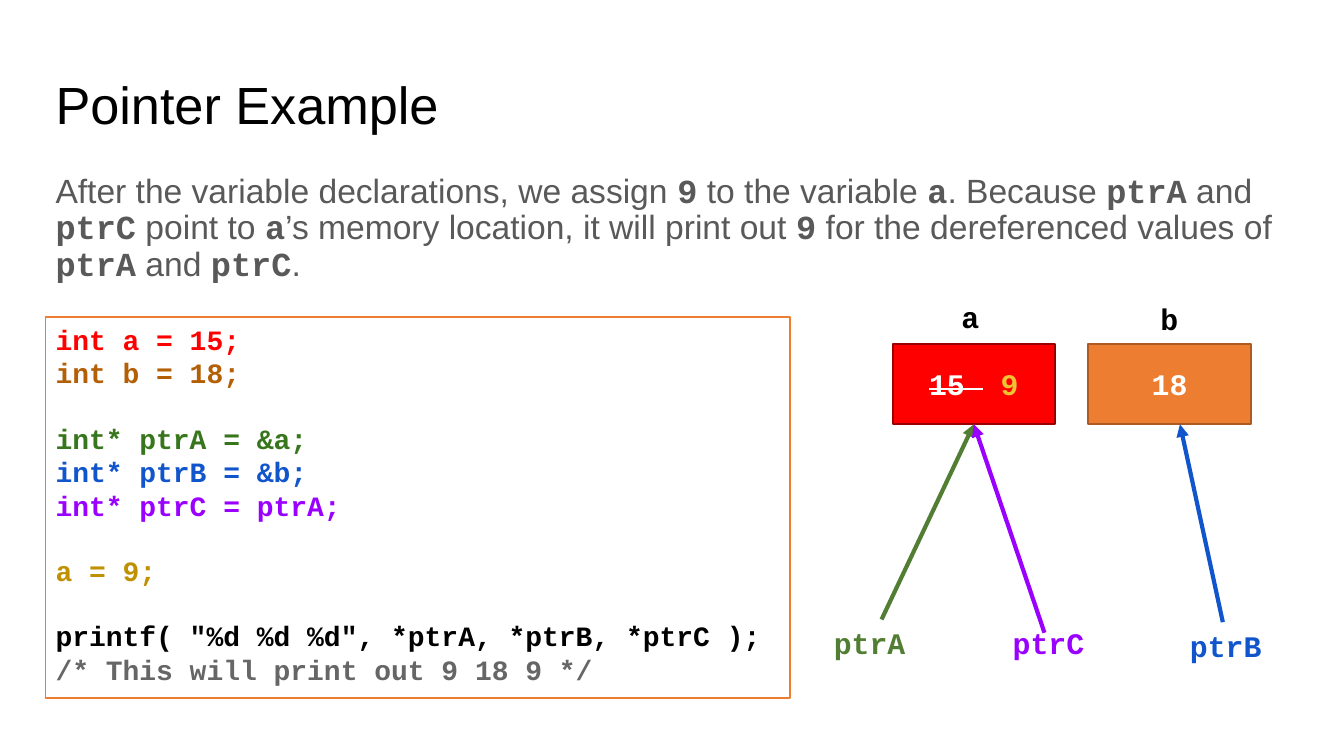
"""Build the slide that explains a pointer example in C."""

from dataclasses import dataclass
from typing import Optional

from lxml.etree import SubElement
from pptx import Presentation
from pptx.dml.color import RGBColor
from pptx.enum.shapes import MSO_CONNECTOR, MSO_SHAPE
from pptx.enum.text import MSO_ANCHOR, PP_ALIGN
from pptx.oxml.ns import qn
from pptx.shapes.autoshape import Shape
from pptx.slide import Slide
from pptx.text.text import TextFrame, _Paragraph
from pptx.util import Cm, Pt

COLORS = {
    "black": "000000", "white": "FFFFFF", "body": "595959", "comment": "666666",
    "red": "FF0000", "dark red": "980000", "orange": "ED7D31", "dark orange": "AC5B23",
    "brown": "B45F06", "code green": "38761D", "green": "517E33", "blue": "1155CC",
    "purple": "9900FF", "gold": "BF9000", "yellow": "F1C232",
}
SANS, MONO = "Arial", "Courier New"
CELL_TOP, CELL_WIDTH, CELL_HEIGHT = 6.5, 3.07, 1.52
CODE_SIZE, CODE_LINE = 15, 17
BOTTOM_SIDE = 2


@dataclass
class Span:
    """A piece of text in one style."""
    text: str
    color: str
    size: float = 16
    font: str = MONO
    bold: bool = True
    struck: bool = False


@dataclass
class Variable:
    """A memory cell with its name and contents."""
    name: str
    left: float
    name_left: float
    name_top: float
    fill: str
    border: str
    contents: list[Span]


@dataclass
class Pointer:
    """A pointer name with an arrow to a variable."""
    name: str
    color: str
    left: float
    top: float
    start: tuple[float, float]
    target: str
    tip: Optional[tuple[float, float]] = None


@dataclass
class CodeLine:
    """A line of code, with a gap above it if it opens a group."""
    text: str
    color: str
    opens_group: bool = False


EXPLANATION = [
    "After the variable declarations, we assign ", "9", " to the variable ", "a",
    ". Because ", "ptrA", " and ", "ptrC", " point to ", "a",
    "’s memory location, it will print out ", "9",
    " for the dereferenced values of ", "ptrA", " and ", "ptrC", ".",
]
CODE = [
    CodeLine("int a = 15;", "red"),
    CodeLine("int b = 18;", "brown"),
    CodeLine("int* ptrA = &a;", "code green", True),
    CodeLine("int* ptrB = &b;", "blue"),
    CodeLine("int* ptrC = ptrA;", "purple"),
    CodeLine("a = 9;", "gold", True),
    CodeLine('printf( "%d %d %d", *ptrA, *ptrB, *ptrC );', "black", True),
    CodeLine("/* This will print out 9 18 9 */", "comment"),
]
VARIABLES = [
    Variable("a", 16.87, 17.98, 5.54, "red", "dark red",
             [Span("15 ", "white", struck=True), Span(" ", "white"), Span("9", "yellow")]),
    Variable("b", 20.57, 21.74, 5.59, "orange", "dark orange", [Span("18", "white")]),
]
POINTERS = [
    Pointer("ptrA", "green", 15.57, 11.71, (16.66, 11.71), "a"),
    Pointer("ptrB", "blue", 22.3, 11.76, (23.11, 11.76), "b", (22.3, 8.02)),
    Pointer("ptrC", "purple", 18.95, 11.71, (19.74, 11.96), "a"),
]


def rgb(color: str) -> RGBColor:
    """Look up a named colour."""
    return RGBColor.from_string(COLORS[color])


def add_spans(paragraph: _Paragraph, spans: list[Span]) -> None:
    """Add styled runs to a paragraph."""
    for span in spans:
        run = paragraph.add_run()
        run.text = span.text
        run.font.name, run.font.size, run.font.bold = span.font, Pt(span.size), span.bold
        run.font.color.rgb = rgb(span.color)
        if span.struck:
            run._r.get_or_add_rPr().set("strike", "sngStrike")


def set_frame(frame: TextFrame, anchor: MSO_ANCHOR) -> None:
    """Set wrapping, insets and anchor of a text frame."""
    frame.word_wrap = True
    frame.vertical_anchor = anchor
    frame.margin_left = frame.margin_right = Cm(0.19)
    frame.margin_top = frame.margin_bottom = Cm(0.1)


def add_text(slide: Slide, left: float, top: float, width: float, height: float,
             spans: list[Span], anchor: MSO_ANCHOR = MSO_ANCHOR.TOP,
             line_spacing: float = 1.0) -> None:
    """Add a text box with one paragraph."""
    frame = slide.shapes.add_textbox(Cm(left), Cm(top), Cm(width), Cm(height)).text_frame
    set_frame(frame, anchor)
    frame.paragraphs[0].line_spacing = line_spacing
    add_spans(frame.paragraphs[0], spans)


def add_box(slide: Slide, left: float, top: float, width: float, height: float,
            fill: str, border: str, anchor: MSO_ANCHOR) -> Shape:
    """Add a bordered rectangle."""
    box = slide.shapes.add_shape(
        MSO_SHAPE.RECTANGLE, Cm(left), Cm(top), Cm(width), Cm(height))
    box.shadow.inherit = False
    box.fill.solid()
    box.fill.fore_color.rgb = rgb(fill)
    box.line.color.rgb = rgb(border)
    box.line.width = Pt(1)
    set_frame(box.text_frame, anchor)
    return box


def add_code(slide: Slide) -> None:
    """Add the framed code listing."""
    frame = add_box(slide, 0.86, 5.99, 14.07, 7.21, "white", "orange",
                    MSO_ANCHOR.TOP).text_frame
    for index, line in enumerate(CODE):
        paragraph = frame.add_paragraph() if index else frame.paragraphs[0]
        paragraph.alignment = PP_ALIGN.LEFT
        if line.opens_group:
            paragraph.space_before = Pt(CODE_LINE)
        add_spans(paragraph, [Span(line.text, line.color, CODE_SIZE)])


def add_variable(slide: Slide, variable: Variable) -> Shape:
    """Add a memory cell and the name above it."""
    cell = add_box(slide, variable.left, CELL_TOP, CELL_WIDTH, CELL_HEIGHT,
                   variable.fill, variable.border, MSO_ANCHOR.MIDDLE)
    cell.text_frame.paragraphs[0].alignment = PP_ALIGN.CENTER
    add_spans(cell.text_frame.paragraphs[0], variable.contents)
    add_text(slide, variable.name_left, variable.name_top, 0.84, 1.09,
             [Span(variable.name, "black")])
    return cell


def add_pointer(slide: Slide, pointer: Pointer, cell: Shape) -> None:
    """Add a pointer name and its arrow to a cell."""
    add_text(slide, pointer.left, pointer.top, 2.18, 1.09, [Span(pointer.name, pointer.color)])
    start_x, start_y = pointer.start
    tip_x, tip_y = pointer.tip or pointer.start
    arrow = slide.shapes.add_connector(
        MSO_CONNECTOR.STRAIGHT, Cm(start_x), Cm(start_y), Cm(tip_x), Cm(tip_y))
    if pointer.tip is None:
        arrow.end_connect(cell, BOTTOM_SIDE)
    arrow.line.color.rgb = rgb(pointer.color)
    arrow.line.width = Pt(2.25)
    SubElement(arrow.line._get_or_add_ln(), qn("a:tailEnd"), type="triangle")
    SubElement(arrow._element.spPr, qn("a:effectLst"))


def main() -> None:
    """Build and save the slide."""
    deck = Presentation()
    deck.slide_width, deck.slide_height = Cm(25.4), Cm(14.29)
    slide = deck.slides.add_slide(deck.slide_layouts[6])
    add_text(slide, 0.86, 1.24, 23.67, 1.6,
             [Span("Pointer Example", "black", 28, SANS, False)], MSO_ANCHOR.MIDDLE, 0.9)
    explanation = [Span(text, "body", 18, MONO if index % 2 else SANS, index % 2 == 1)
                   for index, text in enumerate(EXPLANATION)]
    add_text(slide, 0.86, 3.2, 23.67, 9.5, explanation, line_spacing=0.9)
    add_code(slide)
    cells = {variable.name: add_variable(slide, variable) for variable in VARIABLES}
    for pointer in POINTERS:
        add_pointer(slide, pointer, cells[pointer.target])
    deck.save("out.pptx")


if __name__ == "__main__":
    main()
